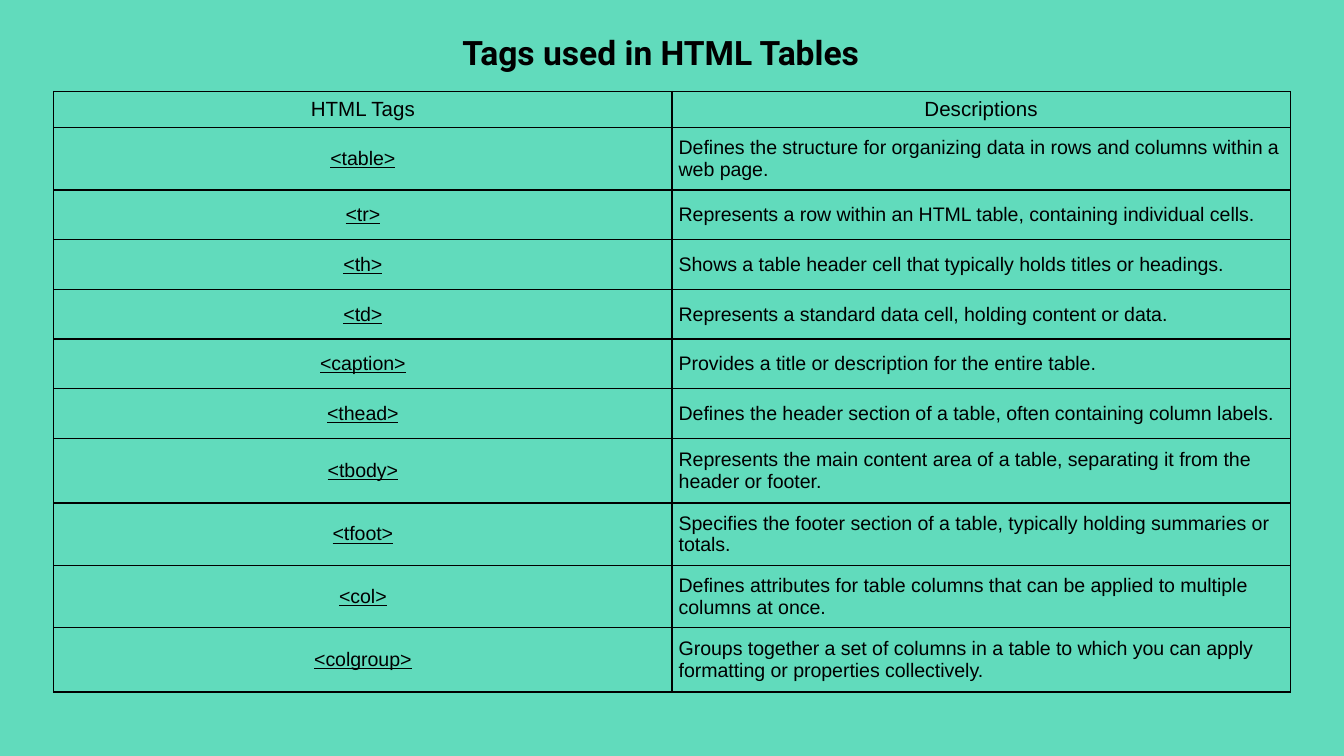
import pptx
import pptx.dml.color
import pptx.enum.text
import pptx.oxml
import pptx.oxml.ns
import pptx.util
from pptx.util import Inches

BACKGROUND = "61DBBC"
INK = "000000"
HEADINGS = ("HTML Tags", "Descriptions")
TAGS = {
    "<table>": "Defines the structure for organizing data in rows and columns within a web page.",
    "<tr>": "Represents a row within an HTML table, containing individual cells.",
    "<th>": "Shows a table header cell that typically holds titles or headings.",
    "<td>": "Represents a standard data cell, holding content or data.",
    "<caption>": "Provides a title or description for the entire table.",
    "<thead>": "Defines the header section of a table, often containing column labels.",
    "<tbody>": "Represents the main content area of a table, separating it from the header or footer.",
    "<tfoot>": "Specifies the footer section of a table, typically holding summaries or totals.",
    "<col>": "Defines attributes for table columns that can be applied to multiple columns at once.",
    "<colgroup>": "Groups together a set of columns in a table to which you can apply formatting or properties collectively.",
}
HEADING_HEIGHT = 0.24
TAG_HEIGHT = 0.37
TALL_TAGS = {"<tbody>": 0.48, "<colgroup>": 0.48}
CENTER = pptx.enum.text.PP_ALIGN.CENTER
LEFT = pptx.enum.text.PP_ALIGN.LEFT


def color(hex_value):
    return pptx.dml.color.RGBColor.from_string(hex_value)


def add_run(paragraph, text, size, font="Arial", bold=False, underline=False):
    run = paragraph.add_run()
    run.text = text
    run.font.name = font
    run.font.size = pptx.util.Pt(size)
    run.font.bold = bold
    run.font.underline = underline
    run.font.color.rgb = color(INK)


def add_title(slide, text):
    title = slide.shapes.title
    title.left, title.top = Inches(3.17), Inches(0.14)
    title.width, title.height = Inches(3.85), Inches(0.41)
    frame = title.text_frame
    frame.margin_left = frame.margin_right = Inches(0.1)
    frame.margin_top = frame.margin_bottom = Inches(0.1)
    frame.vertical_anchor = pptx.enum.text.MSO_ANCHOR.TOP
    frame.auto_size = pptx.enum.text.MSO_AUTO_SIZE.NONE
    frame.word_wrap = True
    paragraph = frame.paragraphs[0]
    paragraph.alignment = LEFT
    properties = paragraph._p.get_or_add_pPr()
    properties.set("marL", str(Inches(0.17)))
    properties.set("indent", "0")
    add_run(paragraph, text, 18, font="Roboto", bold=True)


def set_borders(cell, width=0.75):
    """Outline all four sides; the lines must precede the cell's fill in the XML."""
    properties = cell._tc.get_or_add_tcPr()
    for position, side in enumerate(("lnL", "lnR", "lnT", "lnB")):
        line = pptx.oxml.parse_xml(
            f'<a:{side} {pptx.oxml.ns.nsdecls("a")} w="{pptx.util.Pt(width)}">'
            f'<a:solidFill><a:srgbClr val="{INK}"/></a:solidFill></a:{side}>'
        )
        properties.insert(position, line)


def fill_cell(cell, text, size, alignment, side_margin, end_margin, underline=False):
    cell.margin_left = cell.margin_right = Inches(side_margin)
    cell.margin_top = cell.margin_bottom = Inches(end_margin)
    cell.vertical_anchor = pptx.enum.text.MSO_ANCHOR.MIDDLE
    cell.fill.background()
    set_borders(cell)
    paragraph = cell.text_frame.paragraphs[0]
    paragraph.alignment = alignment
    add_run(paragraph, text, size, underline=underline)


def add_tag_table(slide):
    heights = [HEADING_HEIGHT] + [TALL_TAGS.get(tag, TAG_HEIGHT) for tag in TAGS]
    table = slide.shapes.add_table(
        len(heights), len(HEADINGS),
        Inches(0.4), Inches(0.68), Inches(9.2), Inches(sum(heights)),
    ).table
    table.first_row = False
    table.horz_banding = False
    for row, height in zip(table.rows, heights):
        row.height = Inches(height)
    for column, (heading, side_margin) in enumerate(zip(HEADINGS, (0.02, 0.05))):
        fill_cell(table.cell(0, column), heading, 11, CENTER, side_margin, 0.05)
    for row, (tag, description) in enumerate(TAGS.items(), start=1):
        fill_cell(table.cell(row, 0), tag, 10.5, CENTER, 0.05, 0.07, underline=True)
        fill_cell(table.cell(row, 1), description, 10.5, LEFT, 0.05, 0.07)


def main():
    presentation = pptx.Presentation()
    presentation.slide_width = Inches(10)
    presentation.slide_height = Inches(10 * 9 / 16)
    slide = presentation.slides.add_slide(presentation.slide_layouts.get_by_name("Title Only"))
    slide.background.fill.solid()
    slide.background.fill.fore_color.rgb = color(BACKGROUND)
    add_title(slide, "Tags used in HTML Tables")
    add_tag_table(slide)
    presentation.save("out.pptx")


if __name__ == "__main__":
    main()
